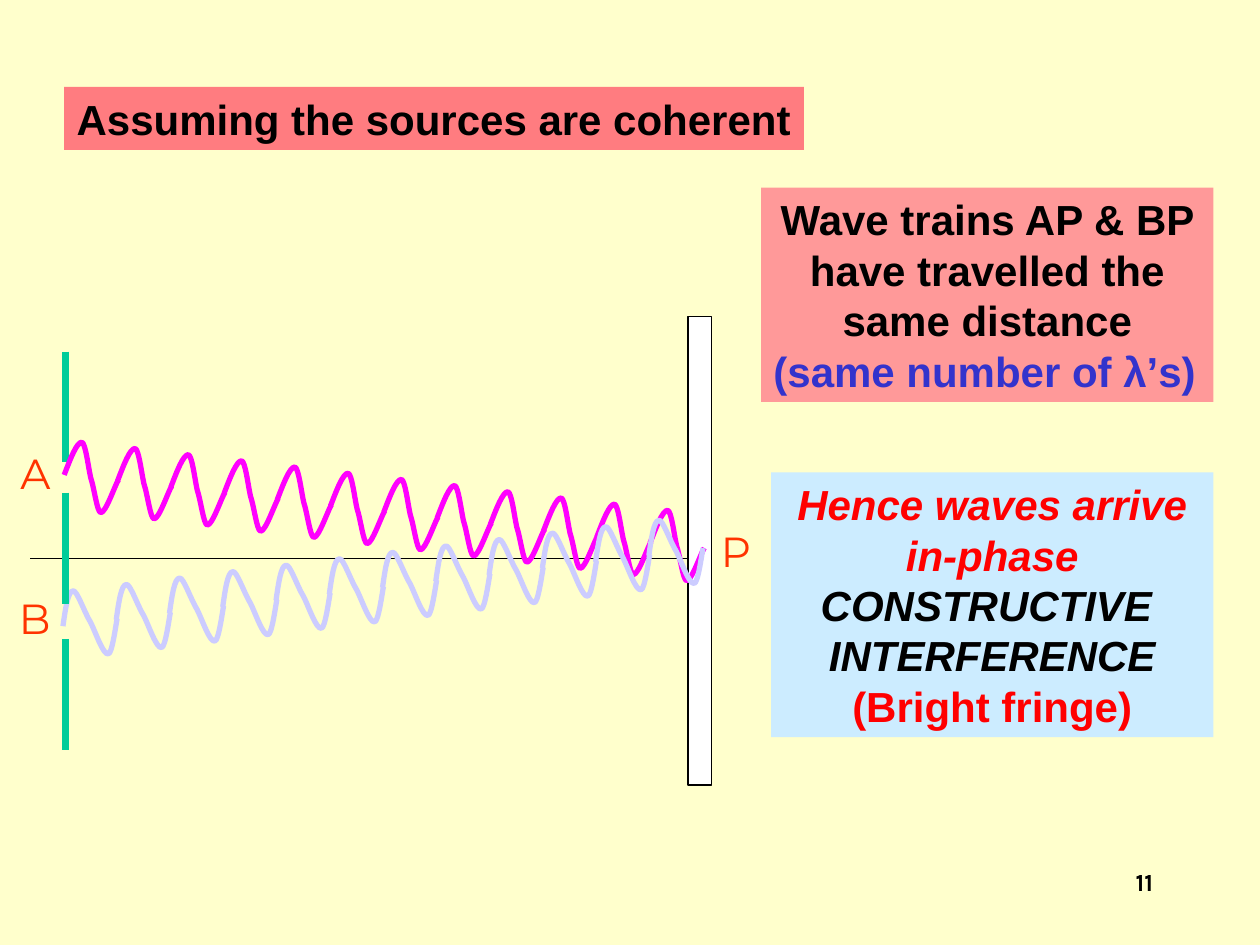
from lxml.etree import SubElement
from pptx import Presentation
from pptx.dml.color import RGBColor
from pptx.enum.shapes import MSO_CONNECTOR, MSO_SHAPE
from pptx.enum.text import MSO_ANCHOR, PP_ALIGN
from pptx.oxml.ns import qn
from pptx.util import Inches, Pt

BLACK = RGBColor(0x00, 0x00, 0x00)
WHITE = RGBColor(0xFF, 0xFF, 0xFF)
CREAM = RGBColor(0xFF, 0xFF, 0xCC)
GREEN = RGBColor(0x00, 0xCC, 0x99)
MAGENTA = RGBColor(0xFF, 0x00, 0xFF)
LAVENDER = RGBColor(0xCC, 0xCC, 0xFF)
ORANGE = RGBColor(0xFF, 0x33, 0x00)
RED = RGBColor(0xFF, 0x00, 0x00)
BLUE = RGBColor(0x33, 0x33, 0xCC)
CORAL = RGBColor(0xFF, 0x7C, 0x80)
PINK = RGBColor(0xFF, 0x99, 0x99)
SKY = RGBColor(0xCC, 0xEC, 0xFF)

CENTER, LEFT, RIGHT = PP_ALIGN.CENTER, PP_ALIGN.LEFT, PP_ALIGN.RIGHT

# Each paragraph: text, format
TITLE = [("Assuming the sources are coherent", {})]
DISTANCE = [
    ("Wave trains AP & BP have travelled the same distance", {"align": CENTER}),
    ("(same number of λ’s)", {"color": BLUE}),
]
RESULT = [
    ("Hence waves arrive", {"color": RED, "italic": True, "align": CENTER}),
    (" in-phase ", {"color": RED, "italic": True, "align": CENTER}),
    ("CONSTRUCTIVE ", {"italic": True, "align": CENTER}),
    ("INTERFERENCE", {"italic": True, "align": CENTER}),
    ("(Bright fringe)", {"color": RED, "align": CENTER}),
]
PANELS = [  # position, fill, paragraphs, wrap
    ((6.04, 1.49, 3.59, 1.7), PINK, DISTANCE, True),
    ((0.51, 0.69, 5.87, 0.5), CORAL, TITLE, False),
    ((6.12, 3.75, 3.51, 2.1), SKY, RESULT, True),
]
POINT_LABELS = [("A", 0, 3.5), ("B", 0, 4.65), ("P", 5.56, 4.12)]

BARRIER_X = 0.52
OUTER_BARRIERS = [(2.79, 3.67), (5.07, 5.95)]
MIDDLE_BARRIER = (3.91, 4.79)

CYCLES = 12
# First and last cycle start, then the Bezier control points of one cycle
WAVES = [
    (MAGENTA, (0.51, 3.77), (5.16, 4.31), [
        (0.05, -0.13), (0.1, -0.26), (0.14, -0.26),
        (0.17, -0.25), (0.19, -0.07), (0.21, 0.02),
        (0.24, 0.11), (0.26, 0.29), (0.29, 0.3),
        (0.33, 0.3), (0.4, 0.09), (0.43, 0.04)]),
    (LAVENDER, (0.5, 4.97), (5.15, 4.41), [
        (0.02, -0.14), (0.04, -0.28), (0.08, -0.28),
        (0.11, -0.29), (0.17, -0.11), (0.22, -0.03),
        (0.26, 0.05), (0.32, 0.23), (0.36, 0.22),
        (0.39, 0.22), (0.42, -0.01), (0.43, -0.06)]),
]


def add_text(p, text, size=24, font="Arial", color=BLACK, bold=True,
             italic=False, align=LEFT):
    p.alignment = align
    r = p.add_run()
    r.text = text
    r.font.size = Pt(size)
    r.font.name = font
    r.font.color.rgb = color
    r.font.bold = bold
    r.font.italic = italic


def add_rect(shapes, box, fill):
    sp = shapes.add_shape(MSO_SHAPE.RECTANGLE, *map(Inches, box))
    sp.shadow.inherit = False
    sp.fill.solid()
    sp.fill.fore_color.rgb = fill
    return sp


def add_panel(shapes, box, fill, paragraphs, wrap):
    sp = add_rect(shapes, box, fill)
    sp.line.fill.background()
    tf = sp.text_frame
    tf.word_wrap = wrap
    tf.vertical_anchor = MSO_ANCHOR.TOP
    for i, (text, fmt) in enumerate(paragraphs):
        p = tf.add_paragraph() if i else tf.paragraphs[0]
        add_text(p, text, **fmt)


def add_label(shapes, box, text, **fmt):
    tf = shapes.add_textbox(*map(Inches, box)).text_frame
    tf.word_wrap = True
    add_text(tf.paragraphs[0], text, align=RIGHT, **fmt)


def add_line(shapes, start, end, color, width):
    ln = shapes.add_connector(MSO_CONNECTOR.STRAIGHT,
                              *map(Inches, (*start, *end)))
    ln.line.color.rgb = color
    ln.line.width = Pt(width)
    SubElement(ln._element.spPr, qn("a:effectLst"))


def add_barrier(shapes, top, bottom):
    add_line(shapes, (BARRIER_X, top), (BARRIER_X, bottom), GREEN, 4.5)


def add_curve(shapes, start, offsets, color):
    """Draw an open outline whose offsets are taken in threes as cubic Beziers."""
    x, y = start
    builder = shapes.build_freeform(Inches(x), Inches(y))
    builder.add_line_segments(
        [(Inches(x + dx), Inches(y + dy)) for dx, dy in offsets], close=False)
    sp = builder.convert_to_shape()
    sp.shadow.inherit = False
    sp.fill.background()
    sp.line.color.rgb = color
    sp.line.width = Pt(3)

    outline = sp._element.find(".//" + qn("a:path"))
    segments = outline.findall(qn("a:lnTo"))
    for i in range(0, len(segments), 3):
        curve = SubElement(outline, qn("a:cubicBezTo"))
        for segment in segments[i:i + 3]:
            curve.append(segment[0])
            outline.remove(segment)


def add_wave(shapes, color, first, last, offsets):
    for i in range(CYCLES):
        start = [a + (b - a) * i / (CYCLES - 1) for a, b in zip(first, last)]
        add_curve(shapes, start, offsets, color)


def main():
    prs = Presentation()
    prs.slide_width, prs.slide_height = Inches(10), Inches(7.5)
    s = prs.slides.add_slide(prs.slide_layouts[6])
    s.background.fill.solid()
    s.background.fill.fore_color.rgb = CREAM

    diagram = s.shapes.add_group_shape().shapes
    add_line(diagram, (0.24, 4.43), (5.63, 4.43), BLACK, 0.75)
    screen = add_rect(diagram, (5.46, 2.51, 0.19, 3.72), WHITE)
    screen.line.color.rgb = BLACK
    screen.line.width = Pt(0.75)
    for ends in OUTER_BARRIERS:
        add_barrier(diagram, *ends)
    for wave in WAVES:
        add_wave(diagram, *wave)
    add_barrier(diagram, *MIDDLE_BARRIER)
    for text, x, y in POINT_LABELS:
        add_label(diagram, (x, y, 0.5, 0.5), text,
                  font="Montserrat", color=ORANGE, bold=False)

    for panel in PANELS:
        add_panel(s.shapes, *panel)
    add_label(s.shapes, (7.17, 6.83, 2.08, 0.5), "11", size=14, font="Karla")

    prs.save("out.pptx")


if __name__ == "__main__":
    main()
